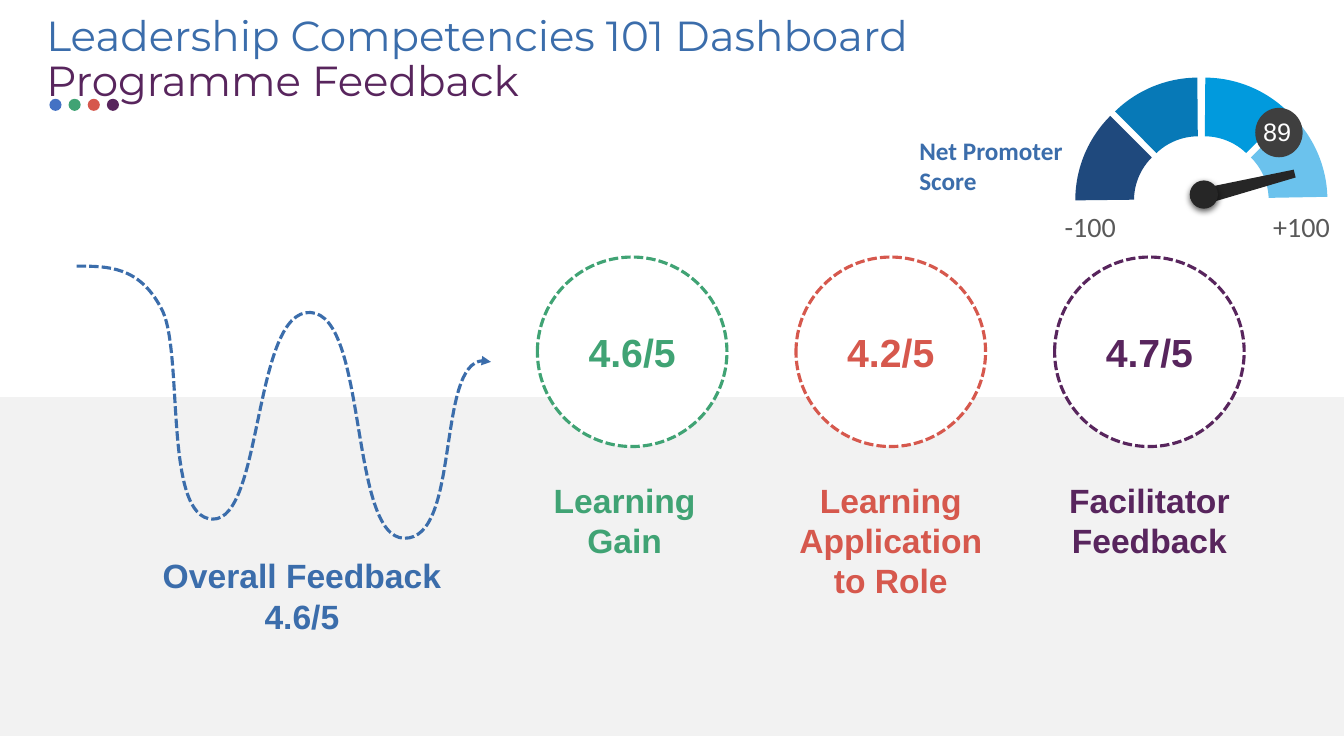
import pptx
import pptx.dml.color
import pptx.enum.dml
import pptx.enum.shapes
import pptx.enum.text
import pptx.oxml
import pptx.oxml.ns
import pptx.util
import lxml.etree

Inches = pptx.util.Inches
SHAPE = pptx.enum.shapes.MSO_SHAPE
ALIGN = pptx.enum.text.PP_ALIGN
ANCHOR = pptx.enum.text.MSO_ANCHOR
AUTO_SIZE = pptx.enum.text.MSO_AUTO_SIZE
qn = pptx.oxml.ns.qn

BLUE, GREEN, RED, PURPLE = "3B6DAB", "40A374", "D6584D", "58255D"


def color(hex_string):
    return pptx.dml.color.RGBColor.from_string(hex_string)


def set_dashed_line(shape, line_color):
    shape.line.color.rgb = color(line_color)
    shape.line.width = pptx.util.Pt(2.25)
    shape.line.dash_style = pptx.enum.dml.MSO_LINE.SQUARE_DOT


def add_filled(shapes, kind, left, top, width, height, fill, rotation=0):
    shape = shapes.add_shape(kind, Inches(left), Inches(top), Inches(width), Inches(height))
    shape.shadow.inherit = False
    shape.fill.solid()
    shape.fill.fore_color.rgb = color(fill)
    shape.line.fill.background()
    shape.rotation = rotation
    return shape


def write_run(paragraph, text, font_name, size, text_color, bold=False):
    run = paragraph.add_run()
    run.text = text
    run.font.name = font_name
    run.font.size = pptx.util.Pt(size)
    run.font.bold = bold
    run.font.color.rgb = color(text_color)


def add_text(shapes, left, top, width, height, lines, font_name, size, text_color,
             bold=False, align=ALIGN.LEFT, wrap=True):
    box = shapes.add_textbox(Inches(left), Inches(top), Inches(width), Inches(height))
    frame = box.text_frame
    frame.word_wrap = wrap
    frame.auto_size = AUTO_SIZE.SHAPE_TO_FIT_TEXT
    for index, line in enumerate(lines):
        paragraph = frame.add_paragraph() if index else frame.paragraphs[0]
        paragraph.alignment = align
        write_run(paragraph, line, font_name, size, text_color, bold)


def add_title(slide, left, top, width, height):
    title = slide.shapes.title
    title.left, title.top = Inches(left), Inches(top)
    title.width, title.height = Inches(width), Inches(height)
    frame = title.text_frame
    frame.auto_size = AUTO_SIZE.NONE
    frame.vertical_anchor = ANCHOR.TOP
    lines = [("Leadership Competencies 101 Dashboard", BLUE), ("Programme Feedback", PURPLE)]
    for index, (line, line_color) in enumerate(lines):
        paragraph = frame.add_paragraph() if index else frame.paragraphs[0]
        paragraph.alignment = ALIGN.LEFT
        paragraph.line_spacing = 0.9
        paragraph.space_before = pptx.util.Pt(0)
        write_run(paragraph, line, "Montserrat", 30, line_color)

    # Row of accent dots under the title
    dots = slide.shapes.add_group_shape().shapes
    for index, dot_color in enumerate(["4472C4", GREEN, RED, PURPLE]):
        add_filled(dots, SHAPE.OVAL, left + 0.13 + 0.19 * index, top + 0.88, 0.12, 0.12, dot_color)


def add_score(shapes, left, top, score, caption, caption_width, score_color):
    add_text(shapes, left - 0.24, top + 2.16, caption_width, 0.91, [caption],
             "Arial", 24, score_color, True, ALIGN.CENTER)
    circle = add_filled(shapes, SHAPE.OVAL, left, top, 1.88, 1.88, "FFFFFF")
    set_dashed_line(circle, score_color)
    circle.text_frame.vertical_anchor = ANCHOR.MIDDLE
    paragraph = circle.text_frame.paragraphs[0]
    paragraph.alignment = ALIGN.CENTER
    write_run(paragraph, score, "Arial", 28, score_color, True)


def add_overall_feedback(shapes, left, top):
    # Wave: start point, then two control points and an end point per curve
    points = [(0, 0),
              (0.31, 0), (0.62, 0), (0.84, 0.42),
              (1.07, 0.83), (0.85, 2.5), (1.35, 2.51),
              (1.85, 2.52), (1.75, 0.43), (2.32, 0.46),
              (2.89, 0.49), (2.70, 2.69), (3.25, 2.7),
              (3.81, 2.71), (3.54, 0.77), (4.11, 0.95)]
    corners = [(Inches(left + x), Inches(top + y)) for x, y in points]
    builder = shapes.build_freeform(*corners[0])
    builder.add_line_segments(corners[1:], close=False)
    wave = builder.convert_to_shape()
    wave.shadow.inherit = False
    wave.fill.background()
    set_dashed_line(wave, BLUE)

    # Turn each three straight segments into one Bezier curve
    outline = wave._element.find(".//" + qn("a:path"))
    segments = outline.findall(qn("a:lnTo"))
    for first in range(0, len(segments), 3):
        curve = lxml.etree.SubElement(outline, qn("a:cubicBezTo"))
        for segment in segments[first:first + 3]:
            curve.append(segment[0])
            outline.remove(segment)

    arrowhead = lxml.etree.SubElement(wave.line._get_or_add_ln(), qn("a:tailEnd"))
    arrowhead.set("type", "triangle")
    add_text(shapes, left + 0.57, top + 2.82, 3.33, 1.31, ["Overall Feedback", "4.6/5"],
             "Arial", 24, BLUE, True, ALIGN.CENTER)


def add_knob_shadow(knob):
    effects = knob._element.spPr.find(qn("a:effectLst"))
    shadow = lxml.etree.SubElement(effects, qn("a:outerShdw"), blurRad="57150",
                                   dist="19050", dir="5400000", algn="ctr", rotWithShape="0")
    shade = lxml.etree.SubElement(shadow, qn("a:srgbClr"), val="000000")
    lxml.etree.SubElement(shade, qn("a:alpha"), val="63000")


def add_gauge(slide, left, top):
    shapes = slide.shapes.add_group_shape().shapes

    # Arcs: offset, rotation, mirrored, end angle, thickness, colour
    arcs = [(1.69, 0, 0, True, 188.93, 0.25, "0779B7"),
            (1.75, 0, 0, False, 188.93, 0.25, "019ADD"),
            (1.80, 0.04, 44.5, False, 188.65, 0.25, "6BC2ED"),
            (1.64, 0.04, 315.5, True, 189.7, 0.25, "1F497D")]
    for x, y, rotation, mirrored, end, thickness, fill in arcs:
        arc = add_filled(shapes, SHAPE.BLOCK_ARC, left + x, top + y, 2.35, 2.33, fill, rotation)
        for index, value in enumerate([162.28, end, thickness]):
            arc.adjustments[index] = value
        if mirrored:
            arc._element.spPr.find(qn("a:xfrm")).set("flipH", "1")

    # Needle and knob
    add_filled(shapes, SHAPE.TRAPEZOID, left + 3.29, top + 0.6, 0.16, 0.93, "262626", 76)
    knob = add_filled(shapes, SHAPE.OVAL, left + 2.78, top + 1.02, 0.28, 0.28, "262626")
    add_knob_shadow(knob)

    # Scale ends, score badge and label
    for x, width, label in [(1.44, 0.71, "-100"), (3.51, 0.77, "+100")]:
        add_text(shapes, left + x, top + 1.26, width, 0.44, [label],
                 "Calibri", 20, "595959", wrap=False)
    add_filled(shapes, SHAPE.OVAL, left + 3.43, top + 0.3, 0.47, 0.49, "3F3F3F")
    add_text(shapes, left + 3.41, top + 0.34, 0.48, 0.4, ["89"],
             "Arial", 18, "FFFFFF", wrap=False)
    add_text(shapes, left, top + 0.52, 2.1, 0.71, ["Net Promoter Score"],
             "Calibri", 18, BLUE, True)


def build_dashboard(presentation):
    slide = presentation.slides.add_slide(presentation.slide_layouts[5])
    add_title(slide, 0.36, 0.1, 11.59, 0.55)

    # Grey lower band
    add_filled(slide.shapes, SHAPE.RECTANGLE, 0, 3.94, 13.33, 3.36, "F2F2F2")

    scores = [("4.6/5", "Learning Gain", 2.21, GREEN),
              ("4.2/5", "Learning Application to Role", 2.36, RED),
              ("4.7/5", "Facilitator Feedback", 2.36, PURPLE)]
    for index, (score, caption, width, score_color) in enumerate(scores):
        add_score(slide.shapes, 5.33 + 2.565 * index, 2.55, score, caption, width, score_color)

    add_overall_feedback(slide.shapes, 0.76, 2.64)
    add_gauge(slide, 9.02, 0.77)


def main():
    presentation = pptx.Presentation()
    presentation.slide_width = Inches(13.33)
    presentation.slide_height = Inches(7.5)
    build_dashboard(presentation)
    presentation.save("out.pptx")


if __name__ == "__main__":
    main()
